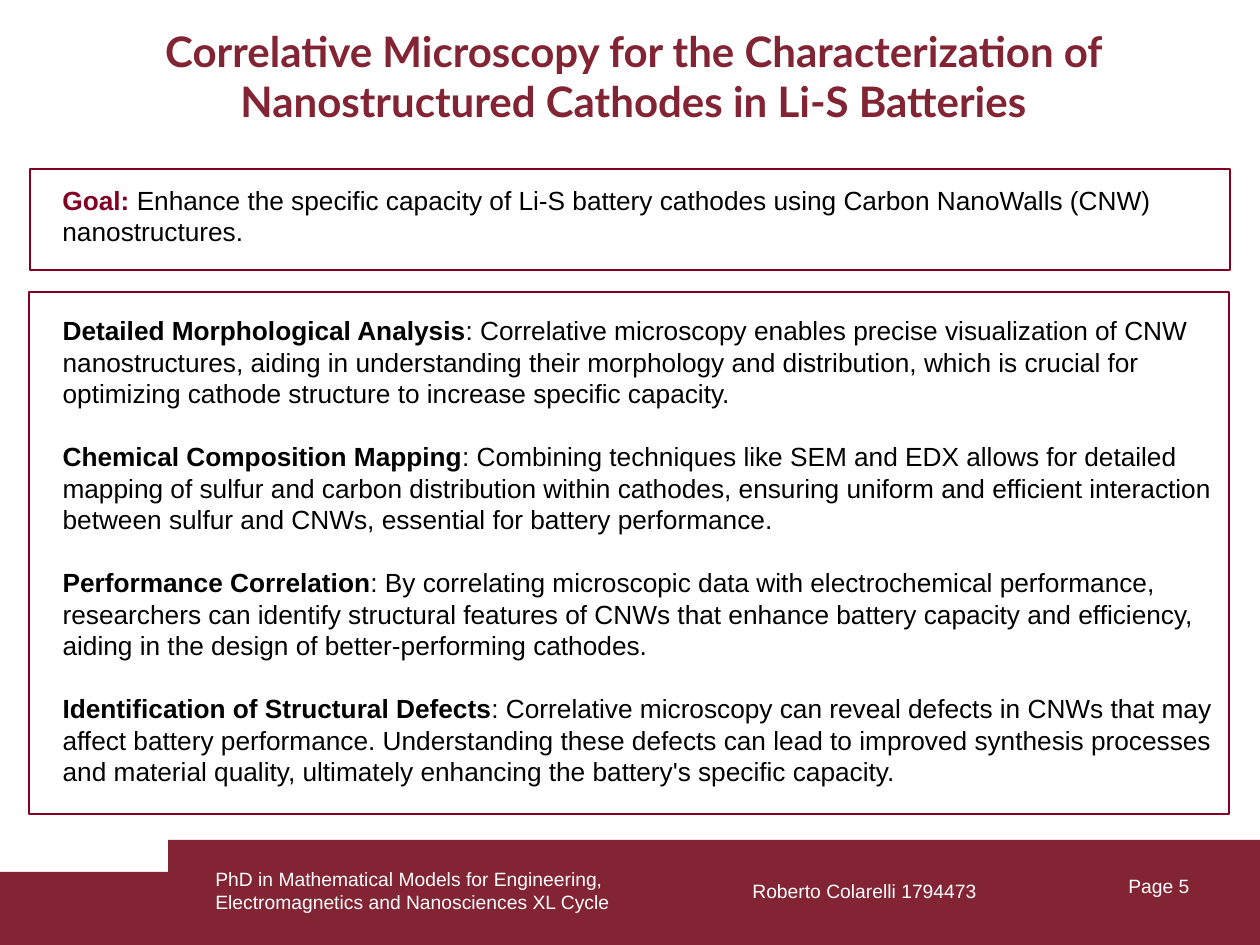
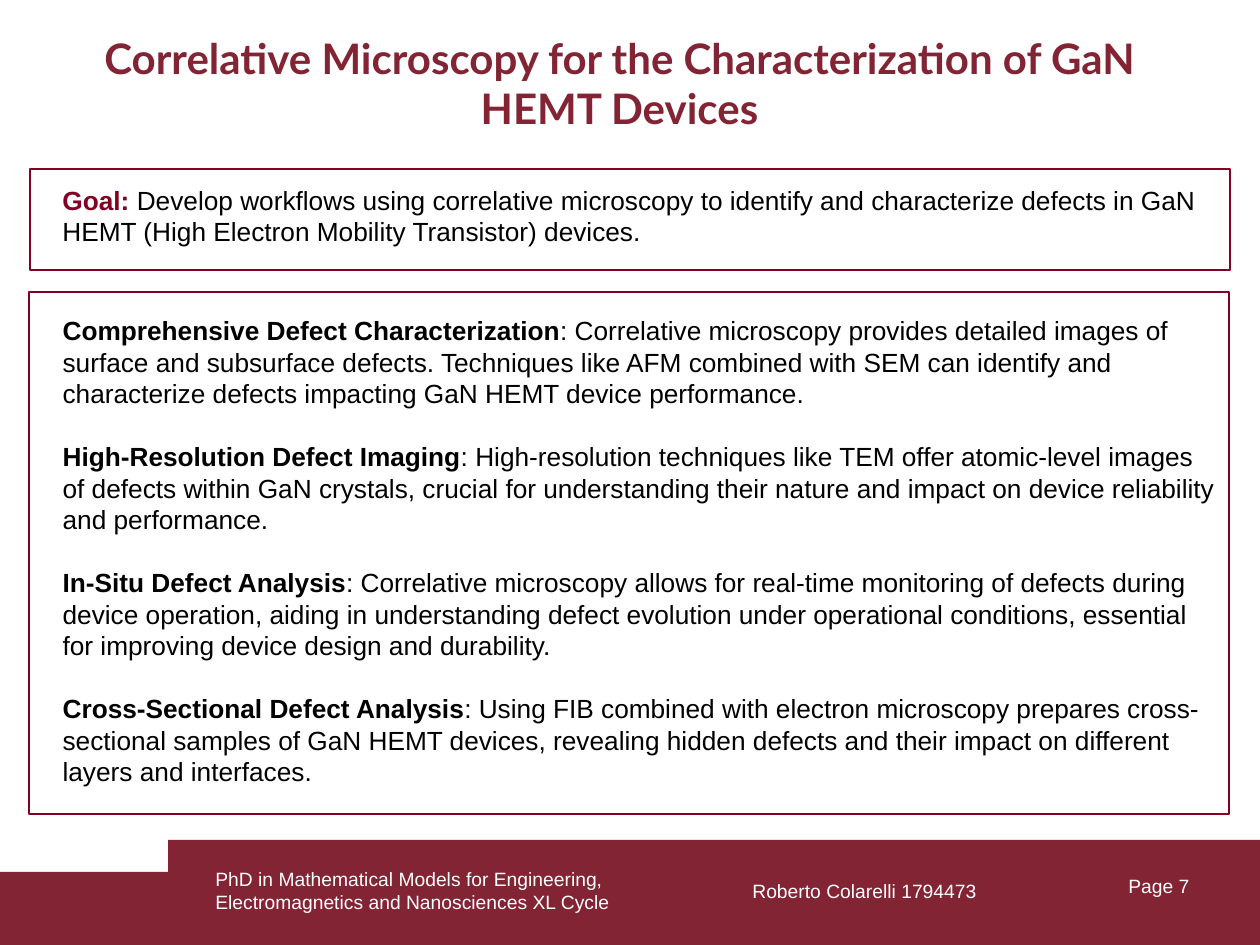
"""Build two slides on correlative microscopy with a shared title, frame and footer style."""
from lxml import etree
from pptx import Presentation
from pptx import util as u
from pptx.dml import color
from pptx.enum import shapes, text
from pptx.oxml import ns

SCALE = u.Inches(1) / 126
COLORS = {"band": "822433", "accent": "830022", "body": "000000", "light": "FFFFFF"}
FORMATS = {
    "title": {"name": "Lato", "size": u.Pt(24), "bold": True},
    "label": {"name": "Arial", "size": u.Pt(15), "bold": True},
    "body": {"name": "Arial", "size": u.Pt(15), "bold": False},
    "footer": {"name": "Arial", "size": u.Pt(11), "bold": False},
}
FRAME = {"word_wrap": True, "auto_size": text.MSO_AUTO_SIZE.NONE,
         "vertical_anchor": text.MSO_ANCHOR.TOP}
LEFT, CENTER, RIGHT = text.PP_ALIGN.LEFT, text.PP_ALIGN.CENTER, text.PP_ALIGN.RIGHT
COURSE = "PhD in Mathematical Models for Engineering, Electromagnetics and Nanosciences XL Cycle"
AUTHOR = "Roberto Colarelli 1794473"

PAGES = [
    {
        "number": 5,
        "title": "Correlative Microscopy for the Characterization of Nanostructured Cathodes in Li-S Batteries",
        "title_area": (64, 19, 1139, 127),
        "goal": "Enhance the specific capacity of Li-S battery cathodes using Carbon NanoWalls (CNW) nanostructures.",
        "points": [
            ("Detailed Morphological Analysis",
             "Correlative microscopy enables precise visualization of CNW nanostructures, aiding in "
             "understanding their morphology and distribution, which is crucial for optimizing cathode "
             "structure to increase specific capacity."),
            ("Chemical Composition Mapping",
             "Combining techniques like SEM and EDX allows for detailed mapping of sulfur and carbon "
             "distribution within cathodes, ensuring uniform and efficient interaction between sulfur "
             "and CNWs, essential for battery performance."),
            ("Performance Correlation",
             "By correlating microscopic data with electrochemical performance, researchers can identify "
             "structural features of CNWs that enhance battery capacity and efficiency, aiding in the "
             "design of better-performing cathodes."),
            ("Identification of Structural Defects",
             "Correlative microscopy can reveal defects in CNWs that may affect battery performance. "
             "Understanding these defects can lead to improved synthesis processes and material quality, "
             "ultimately enhancing the battery's specific capacity."),
        ],
    },
    {
        "number": 7,
        "title": "Correlative Microscopy for the Characterization of GaN HEMT Devices",
        "title_area": (50, 26, 1139, 127),
        "goal": "Develop workflows using correlative microscopy to identify and characterize defects in GaN "
                "HEMT (High Electron Mobility Transistor) devices.",
        "points": [
            ("Comprehensive Defect Characterization",
             "Correlative microscopy provides detailed images of surface and subsurface defects. "
             "Techniques like AFM combined with SEM can identify and characterize defects impacting "
             "GaN HEMT device performance."),
            ("High-Resolution Defect Imaging",
             "High-resolution techniques like TEM offer atomic-level images of defects within GaN "
             "crystals, crucial for understanding their nature and impact on device reliability and "
             "performance."),
            ("In-Situ Defect Analysis",
             "Correlative microscopy allows for real-time monitoring of defects during device operation, "
             "aiding in understanding defect evolution under operational conditions, essential for "
             "improving device design and durability."),
            ("Cross-Sectional Defect Analysis",
             "Using FIB combined with electron microscopy prepares cross-sectional samples of GaN HEMT "
             "devices, revealing hidden defects and their impact on different layers and interfaces."),
        ],
    },
]


def apply(target, values):
    """Set every attribute in values on target."""
    for name, value in values.items():
        setattr(target, name, value)


def rgb(name):
    """Return the named colour."""
    return color.RGBColor.from_string(COLORS[name])


def place(shape, area):
    """Move and size a shape to an area in px."""
    lengths = (round(length * SCALE) for length in area)
    apply(shape, dict(zip(("left", "top", "width", "height"), lengths)))


class SlideMaker:
    """Hold the deck style and the current page."""

    def __init__(self, deck):
        """Keep the deck and its title and content layout."""
        self.deck = deck
        self.layout = deck.slide_layouts[1]
        self.page = None

    def start(self):
        """Add a new current page."""
        self.page = self.deck.slides.add_slide(self.layout)

    def rectangle(self, area, fill=None, line=None):
        """Draw a filled or outlined rectangle."""
        box = self.page.shapes.add_shape(shapes.MSO_SHAPE.RECTANGLE, 0, 0, 0, 0)
        place(box, area)
        box.shadow.inherit = False
        if fill:
            box.fill.solid()
            box.fill.fore_color.rgb = rgb(fill)
        else:
            box.fill.background()
        if line:
            box.line.color.rgb = rgb(line)
            box.line.width = u.Pt(1.5)
        else:
            box.line.fill.background()

    def set_text(self, box, area, paras, align=LEFT, gap=0):
        """Fill a box with paragraphs of (words, format, colour) spans."""
        place(box, area)
        frame = box.text_frame
        apply(frame, FRAME)
        for index, spans in enumerate(paras):
            para = frame.add_paragraph() if index else frame.paragraphs[0]
            apply(para, {"alignment": align, "space_before": u.Pt(0), "space_after": u.Pt(gap)})
            for words, style, tint in spans:
                span = para.add_run()
                span.text = words
                apply(span.font, FORMATS[style])
                span.font.color.rgb = rgb(tint)

    def label(self, area, spans, align=LEFT):
        """Add a one-paragraph text box."""
        self.set_text(self.page.shapes.add_textbox(0, 0, 0, 0), area, [spans], align)

    def title(self, area, words):
        """Fill the title placeholder."""
        self.set_text(self.page.shapes.title, area, [[(words, "title", "band")]], CENTER)

    def points(self, area, points):
        """Fill the body placeholder with unbulleted points."""
        body = self.page.placeholders[1]
        paras = [[(head, "label", "body"), (f": {words}", "body", "body")] for head, words in points]
        self.set_text(body, area, paras, gap=18)
        for para in body.text_frame.paragraphs:
            properties = para._p.get_or_add_pPr()
            properties.set("marL", "0")
            properties.set("indent", "0")
            etree.SubElement(properties, ns.qn("a:buNone"))

    def footer(self, number):
        """Draw the stepped band with course, author and page number."""
        self.rectangle((0, 872, 1260, 73), fill="band")
        self.rectangle((168, 840, 1092, 105), fill="band")
        for area, words, align in (((203, 861, 456, 59), COURSE, LEFT),
                                   ((740, 873, 268, 37), AUTHOR, LEFT),
                                   ((940, 868, 262, 63), f"Page {number}", RIGHT)):
            self.label(area, [(words, "footer", "light")], align)


def main():
    """Build and save the deck."""
    deck = Presentation()
    deck.slide_width, deck.slide_height = u.Inches(10), u.Inches(7.5)
    maker = SlideMaker(deck)
    for content in PAGES:
        maker.start()
        maker.footer(content["number"])
        maker.title(content["title_area"], content["title"])
        maker.rectangle((30, 169, 1200, 101), line="accent")
        maker.label((50, 178, 1180, 77),
                    [("Goal: ", "label", "accent"), (content["goal"], "body", "body")])
        maker.rectangle((29, 292, 1200, 522), line="accent")
        maker.points((50, 308, 1180, 490), content["points"])
    deck.save("out.pptx")


if __name__ == "__main__":
    main()
